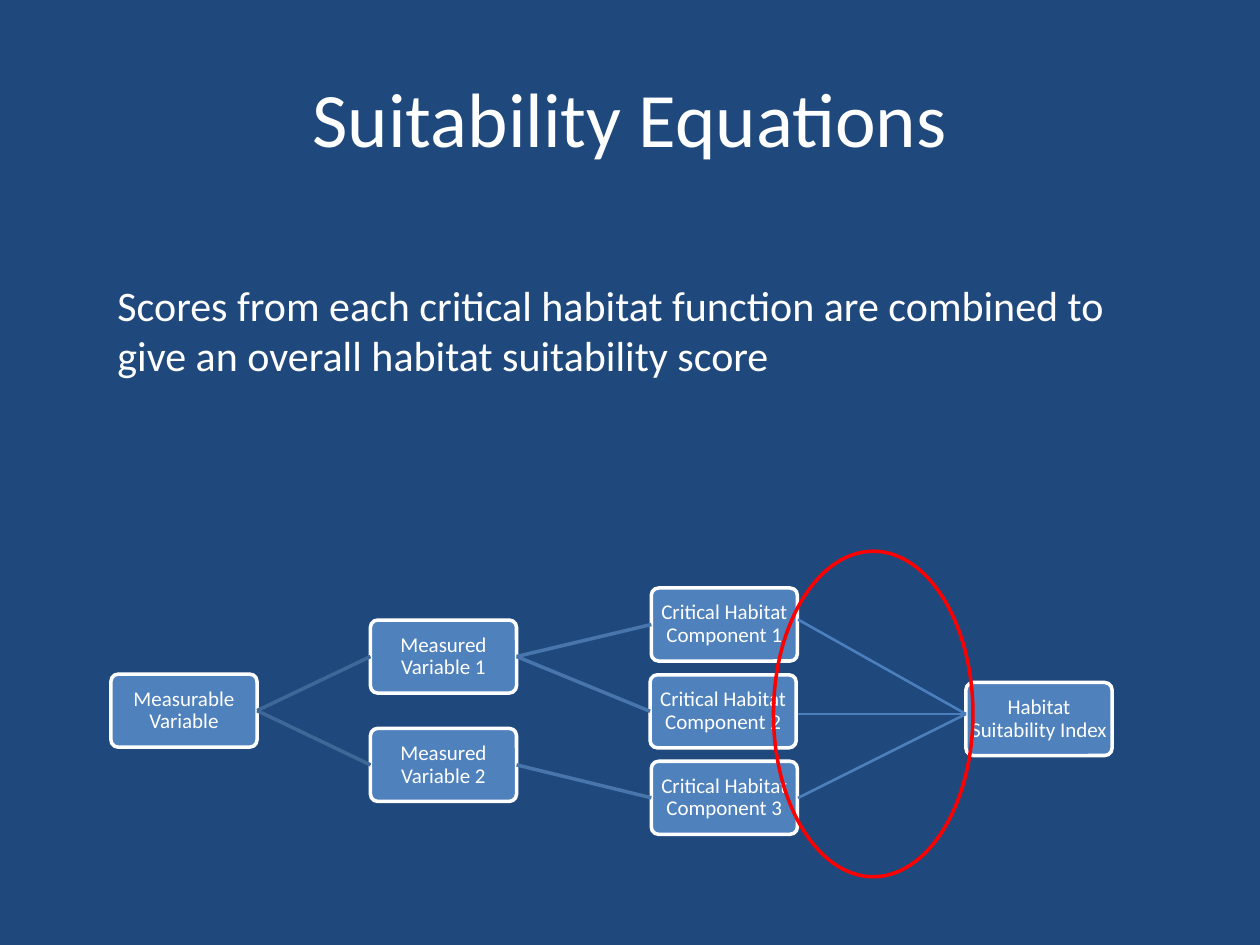
from lxml.etree import SubElement
from pptx import Presentation
from pptx.dml.color import RGBColor
from pptx.enum.shapes import MSO_CONNECTOR as Connector, MSO_SHAPE as Shape
from pptx.enum.text import MSO_ANCHOR as Anchor, PP_ALIGN as Align
from pptx.oxml.ns import qn
from pptx.util import Pt

COLORS = {
    "background": "1F497D", "text": "FFFFFF", "box": "4F81BD", "border": "FFFFFF",
    "first": "3F6797", "second": "4875AC", "index": "4B7EBC", "highlight": "FF0000",
}
FONT = "Calibri"
TITLE = "Suitability Equations"
STATEMENT = ("Scores from each critical habitat function are combined to "
             "give an overall habitat suitability score")

BOX_WIDTH, BOX_HEIGHT = 83.5, 41.75
# key: (label, left, top)
BOXES = {
    "measurable": ("Measurable Variable", 63.4, 385.2),
    "variable 1": ("Measured Variable 1", 211.7, 354.3),
    "variable 2": ("Measured Variable 2", 211.7, 416.2),
    "component 1": ("Critical Habitat Component 1", 372.2, 336),
    "component 2": ("Critical Habitat Component 2", 371.5, 385.6),
    "component 3": ("Critical Habitat Component 3", 372.2, 435),
    "index": ("Habitat Suitability Index", 552, 390),
}
BRANCHES = [
    ("measurable", "variable 1", "first"),
    ("measurable", "variable 2", "first"),
    ("variable 1", "component 1", "second"),
    ("variable 1", "component 2", "second"),
    ("variable 2", "component 3", "second"),
]
INDEX_START_X, INDEX_START_YS = 456, (354, 408, 456)
INDEX_END = (552, 408)
HIGHLIGHT = (442, 315, 114, 186)


def rgb(name):
    """Return a palette colour."""
    return RGBColor.from_string(COLORS[name])


def write(frame, text, size, align, anchor):
    """Put one paragraph of text into a frame."""
    frame.word_wrap = True
    frame.vertical_anchor = anchor
    paragraph = frame.paragraphs[0]
    paragraph.text = text
    paragraph.alignment = align
    paragraph.font.name = FONT
    paragraph.font.size = Pt(size)
    paragraph.font.color.rgb = rgb("text")
    return paragraph


def add_text(slide, bounds, *style):
    """Add a text box."""
    box = slide.shapes.add_textbox(*map(Pt, bounds))
    write(box.text_frame, *style)


def add_line(slide, start, end, color, width):
    """Add a straight line without a shadow."""
    line = slide.shapes.add_connector(Connector.STRAIGHT, *map(Pt, (*start, *end)))
    line.line.color.rgb = rgb(color)
    line.line.width = Pt(width)
    SubElement(line._element.spPr, qn("a:effectLst"))


def add_outlined(slide, kind, bounds, border):
    """Add a shape with a 2 pt outline and no shadow."""
    shape = slide.shapes.add_shape(kind, *map(Pt, bounds))
    shape.shadow.inherit = False
    shape.line.color.rgb = rgb(border)
    shape.line.width = Pt(2)
    return shape


def add_box(slide, label, left, top):
    """Add a labelled rounded box."""
    box = add_outlined(slide, Shape.ROUNDED_RECTANGLE,
                       (left, top, BOX_WIDTH, BOX_HEIGHT), "border")
    box.adjustments[0] = 0.1
    box.fill.solid()
    box.fill.fore_color.rgb = rgb("box")
    frame = box.text_frame
    frame.margin_left = frame.margin_right = Pt(1)
    frame.margin_top = frame.margin_bottom = Pt(1)
    paragraph = write(frame, label, 12, Align.CENTER, Anchor.MIDDLE)
    paragraph.line_spacing = 0.9


def side(key, right=False):
    """Return the middle of a box's left or right edge."""
    _, left, top = BOXES[key]
    return left + BOX_WIDTH * right, top + BOX_HEIGHT / 2


presentation = Presentation()
presentation.slide_width, presentation.slide_height = Pt(720), Pt(540)
slide = presentation.slides.add_slide(presentation.slide_layouts[6])
slide.background.fill.solid()
slide.background.fill.fore_color.rgb = rgb("background")

add_text(slide, (36, 21.6, 648, 90), TITLE, 44, Align.CENTER, Anchor.MIDDLE)
add_text(slide, (60, 156, 588, 94), STATEMENT, 24, Align.LEFT, Anchor.TOP)

for box in BOXES.values():
    add_box(slide, *box)
for parent, child, color in BRANCHES:
    add_line(slide, side(parent, right=True), side(child), color, 2)
for y in INDEX_START_YS:
    add_line(slide, (INDEX_START_X, y), INDEX_END, "index", 1.5)

add_outlined(slide, Shape.OVAL, HIGHLIGHT, "highlight").fill.background()

presentation.save("out.pptx")
